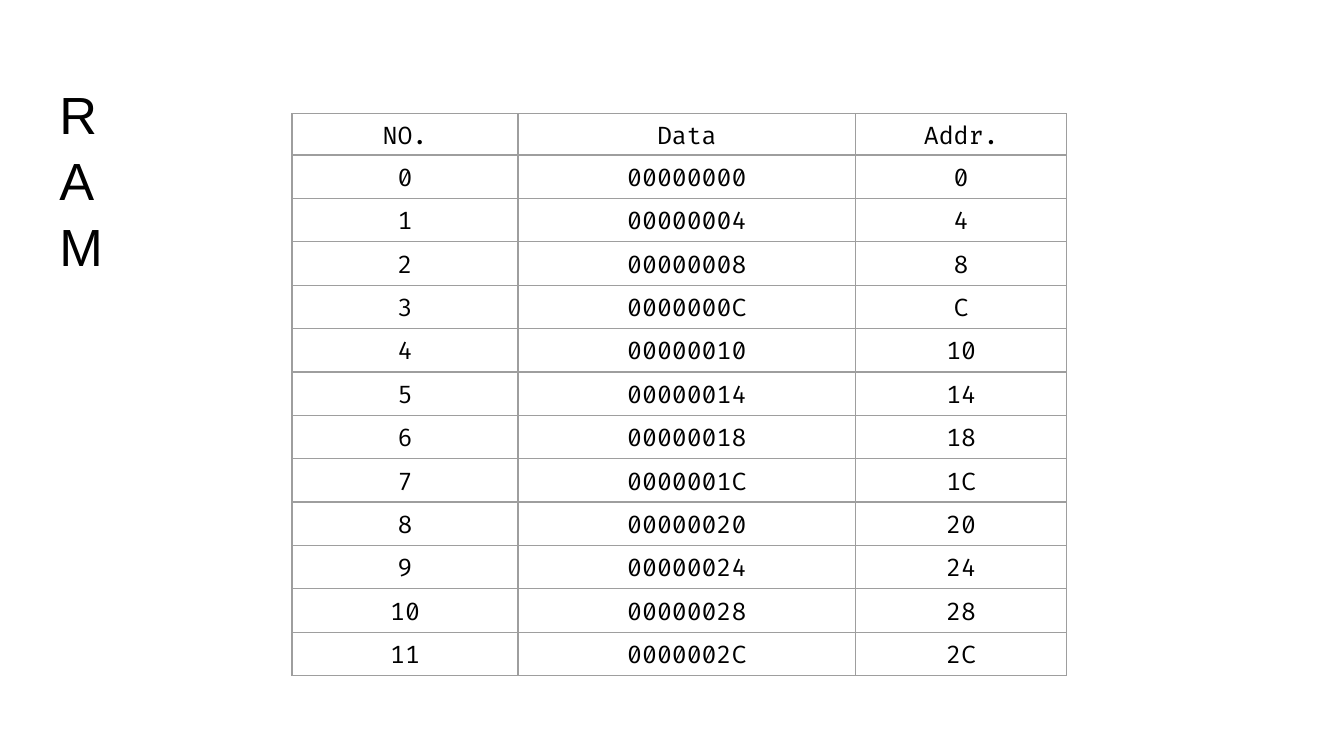
from lxml.etree import SubElement
from pptx import Presentation
from pptx.dml.color import RGBColor
from pptx.enum.text import MSO_ANCHOR as Anchor, MSO_AUTO_SIZE as AutoSize, PP_ALIGN as Align
from pptx.oxml.ns import qn
from pptx.util import Cm, Pt

COLORS = {"text": "000000", "border": "9E9E9E", "paper": "FFFFFF"}
TITLE_ONLY = 5
WORD_BYTES = 4
WORD_COUNT = 12


class PageBuilder:
    title_font, title_size = "Arial", Pt(28)
    table_font, table_size = "Fira Code", Pt(13)
    border_width = Pt(0.75)
    inset = Cm(0.25)

    def __init__(self, page):
        self.page = page

    def format_spans(self, para, font, size):
        for span in para.runs:
            span.font.name = font
            span.font.size = size
            span.font.color.rgb = RGBColor.from_string(COLORS["text"])

    def title(self, text, left, top, width, height):
        box = self.page.shapes.title
        box.left, box.top, box.width, box.height = left, top, width, height
        frame = box.text_frame
        frame.text = text
        frame.word_wrap = True
        frame.auto_size = AutoSize.NONE
        frame.vertical_anchor = Anchor.TOP
        frame.margin_left = frame.margin_right = self.inset
        frame.margin_top = frame.margin_bottom = self.inset
        para = frame.paragraphs[0]
        para.alignment = Align.LEFT
        para.line_spacing = 1.05
        self.format_spans(para, self.title_font, self.title_size)

    def table(self, rows, left, top, widths, heights):
        frame = self.page.shapes.add_table(
            len(rows), len(widths), left, top, sum(widths), sum(heights))
        table = frame.table
        table.horz_banding = False
        for column, width in zip(table.columns, widths):
            column.width = width
        for row, height, values in zip(table.rows, heights, rows):
            row.height = height
            for cell, value in zip(row.cells, values):
                self.cell(cell, value)

    def cell(self, cell, value):
        cell.text_frame.text = value
        cell.vertical_anchor = Anchor.MIDDLE
        cell.margin_left = cell.margin_right = self.inset
        cell.margin_top = cell.margin_bottom = 0
        para = cell.text_frame.paragraphs[0]
        para.alignment = Align.CENTER
        para.line_spacing = 1.15
        self.format_spans(para, self.table_font, self.table_size)
        self.borders(cell)
        cell.fill.solid()
        cell.fill.fore_color.rgb = RGBColor.from_string(COLORS["paper"])

    def borders(self, cell):
        """Outline all four sides; must run before the fill is set."""
        properties = cell._tc.get_or_add_tcPr()
        for side in ("a:lnL", "a:lnR", "a:lnT", "a:lnB"):
            line = SubElement(properties, qn(side), w=str(self.border_width))
            fill = SubElement(line, qn("a:solidFill"))
            SubElement(fill, qn("a:srgbClr"), val=COLORS["border"])


def memory_rows():
    """Each word holds its own byte address, in hexadecimal."""
    rows = [("NO.", "Data", "Addr.")]
    for number in range(WORD_COUNT):
        address = number * WORD_BYTES
        rows.append((str(number), f"{address:08X}", f"{address:X}"))
    return rows


def main():
    deck = Presentation()
    deck.slide_width, deck.slide_height = Cm(25.4), Cm(14.29)
    builder = PageBuilder(deck.slides.add_slide(deck.slide_layouts[TITLE_ONLY]))
    builder.table(
        memory_rows(), Cm(5.52), Cm(2.15),
        widths=[Cm(4.27), Cm(6.38), Cm(3.99)],
        heights=[Cm(0.78)] + [Cm(0.82)] * WORD_COUNT)
    builder.title("RAM", Cm(0.87), Cm(1.25), Cm(1.65), Cm(4.5))
    deck.save("out.pptx")


if __name__ == "__main__":
    main()
